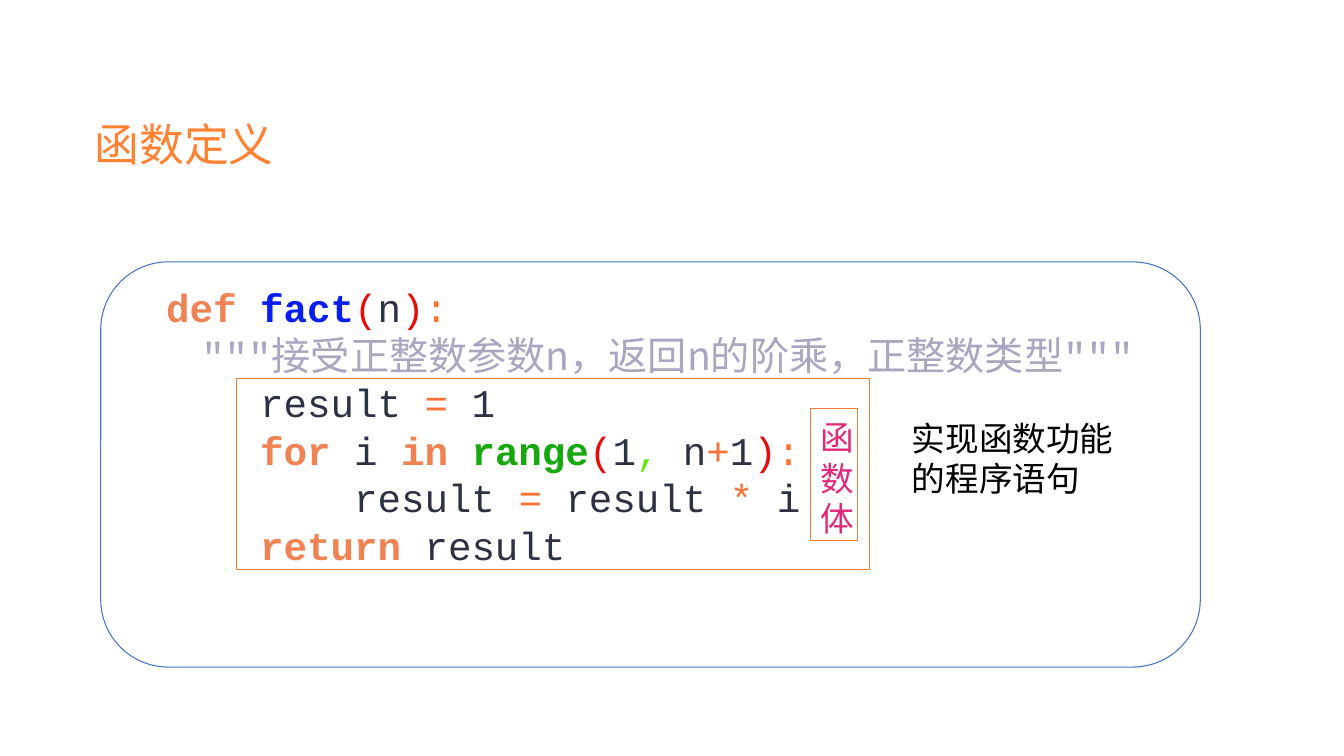
"""Build the slide that explains the parts of a Python function definition."""
import pptx
import pptx.dml.color
import pptx.enum.shapes
import pptx.enum.text
import pptx.oxml.ns
import pptx.util
from lxml import etree

Cm = pptx.util.Cm
Pt = pptx.util.Pt
RGBColor = pptx.dml.color.RGBColor
MSO_SHAPE = pptx.enum.shapes.MSO_SHAPE

TITLE = RGBColor(0xFF, 0x81, 0x32)
KEYWORD = RGBColor(0xEF, 0x83, 0x54)
NAME = RGBColor(0x07, 0x1E, 0xF0)
BUILTIN = RGBColor(0x16, 0xA8, 0x0D)
BRACKET = RGBColor(0xE7, 0x0C, 0x0C)
PLAIN = RGBColor(0x2D, 0x31, 0x42)
OPERATOR = RGBColor(0xF7, 0x72, 0x35)
COMMA = RGBColor(0x6A, 0xE6, 0x13)
DOC = RGBColor(0xAB, 0xA6, 0xBF)
PINK = RGBColor(0xE2, 0x29, 0x78)
BLACK = RGBColor(0, 0, 0)
WHITE = RGBColor(0xFF, 0xFF, 0xFF)
BLUE = RGBColor(0x44, 0x72, 0xC4)
ORANGE = RGBColor(0xED, 0x7D, 0x31)

MONO = "Courier New"
SANS = "Noto Sans CJK SC"
BOLD_COLORS = (KEYWORD, NAME, BUILTIN)
CODE = [
    [("def ", KEYWORD), ("fact", NAME), ("(", BRACKET), ("n", PLAIN),
     (")", BRACKET), (":", OPERATOR)],
    [("    ", DOC, SANS), ('"""', DOC),
     ("接受正整数参数", DOC, SANS), ("n", DOC, SANS), ("，返回", DOC, SANS),
     ("n", DOC, SANS), ("的阶乘，正整数类型", DOC, SANS), ('"""', DOC)],
    [("    result ", PLAIN), ("= ", OPERATOR), ("1", PLAIN)],
    [("    for ", KEYWORD), ("i ", PLAIN), ("in ", KEYWORD),
     ("range", BUILTIN), ("(", BRACKET), ("1", PLAIN), (", ", COMMA),
     ("n", PLAIN), ("+", OPERATOR), ("1", PLAIN), (")", BRACKET),
     (":", OPERATOR)],
    [("        result ", PLAIN), ("= ", OPERATOR), ("result ", PLAIN),
     ("* ", OPERATOR), ("i", PLAIN)],
    [("    return ", KEYWORD), ("result", PLAIN)],
]


def write(s, lines, size):
    """Fill a shape with lines of (text, colour, optional font) runs."""
    tf = s.text_frame
    tf.word_wrap = True
    tf.auto_size = pptx.enum.text.MSO_AUTO_SIZE.NONE
    tf.vertical_anchor = pptx.enum.text.MSO_ANCHOR.TOP
    tf.margin_left, tf.margin_top = Cm(0.25), Cm(0.2)
    tf.margin_right = tf.margin_bottom = 0
    for i, line in enumerate(lines):
        p = tf.paragraphs[0] if i == 0 else tf.add_paragraph()
        p.alignment = pptx.enum.text.PP_ALIGN.LEFT
        p.line_spacing = Pt(round(size * 1.213, 1))
        for text, color, *font in line:
            r = p.add_run()
            r.text = text
            r.font.size = Pt(size)
            r.font.bold = color in BOLD_COLORS
            r.font.color.rgb = color
            r.font.name = font[0] if font else MONO
            ea = etree.SubElement(r.font._element, pptx.oxml.ns.qn("a:ea"))
            ea.set("typeface", r.font.name)


def frame(kind, box, color, width, fill=None):
    """Add an outlined shape, hollow unless a fill is given."""
    s = slide.shapes.add_shape(kind, *map(Cm, box))
    s.shadow.inherit = False
    s.line.color.rgb = color
    s.line.width = Pt(width)
    if fill is None:
        s.fill.background()
    else:
        s.fill.solid()
        s.fill.fore_color.rgb = fill
    return s


prs = pptx.Presentation()
prs.slide_width, prs.slide_height = Cm(33.87), Cm(19.05)
slide = prs.slides.add_slide(prs.slide_layouts[5])

title = slide.shapes.title
title.left, title.top, title.width, title.height = map(Cm, (2.13, 2.72, 5.08, 1.63))
write(title, [[("函数定义", TITLE, SANS)]], 32)

code = slide.shapes.add_textbox(Cm(3.94), Cm(6.93), Cm(27.7), Cm(7.44))
write(code, CODE, 28)

label = frame(MSO_SHAPE.RECTANGLE, (20.42, 10.29, 1.19, 3.33), ORANGE, 1, WHITE)
write(label, [[("函数体", PINK, SANS)]], 24)

frame(MSO_SHAPE.ROUNDED_RECTANGLE, (2.54, 6.6, 27.71, 10.21), BLUE, 0.75)
frame(MSO_SHAPE.RECTANGLE, (5.97, 9.53, 15.95, 4.83), ORANGE, 0.75)

note = slide.shapes.add_textbox(Cm(22.73), Cm(10.31), Cm(5.79), Cm(2.31))
write(note, [[("实现函数功能的程序语句", BLACK, SANS)]], 24)

prs.save("out.pptx")
